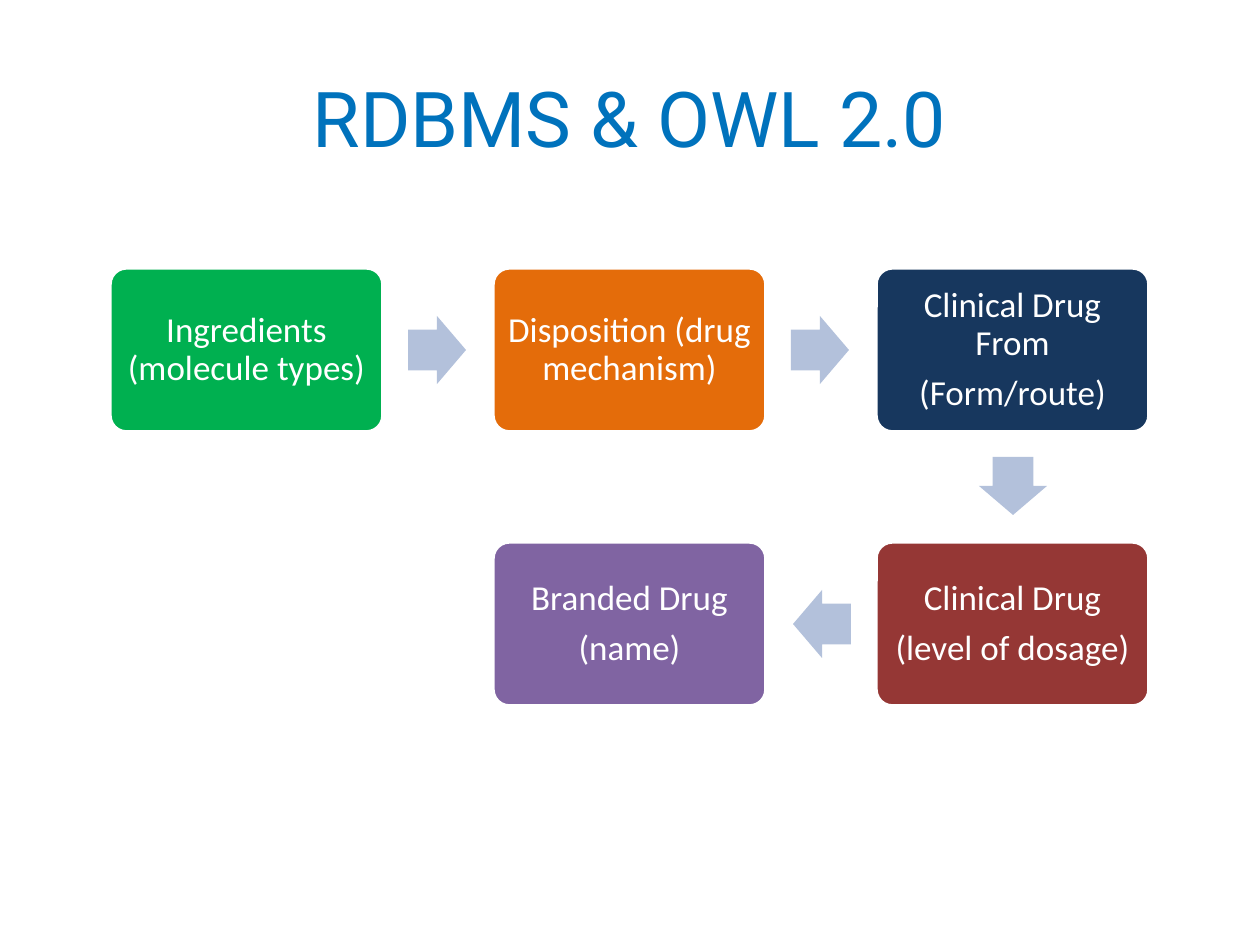
from dataclasses import dataclass
from itertools import pairwise
from math import atan2, degrees

from pptx import Presentation
from pptx.dml.color import RGBColor
from pptx.enum.shapes import MSO_SHAPE
from pptx.enum.text import MSO_ANCHOR, PP_ALIGN
from pptx.util import Pt

EMU_PER_PX = 914400 // 126


@dataclass(frozen=True)
class Theme:
    title_font: str = "Roboto"
    body_font: str = "Calibri"
    title_size: int = 44
    body_size: int = 20
    title: str = "0072BC"
    white: str = "FFFFFF"
    arrow: str = "B3C1DB"
    green: str = "00B050"
    orange: str = "E46C0A"
    navy: str = "17375E"
    red: str = "953735"
    purple: str = "8064A2"


THEME = Theme()
LEFT, TOP = 110, 268
COL_STEP, ROW_STEP = 383, 274
BOX_W, BOX_H = 273, 164
ARROW_W, ARROW_H = 58, 68

STEPS = [
    (0, 0, THEME.green, "Ingredients (molecule types)"),
    (1, 0, THEME.orange, "Disposition (drug mechanism)"),
    (2, 0, THEME.navy, "Clinical Drug From\n(Form/route)"),
    (2, 1, THEME.red, "Clinical Drug\n(level of dosage)"),
    (1, 1, THEME.purple, "Branded Drug\n(name)"),
]


def px(*values):
    return [round(v) * EMU_PER_PX for v in values]


def paint(shape, color):
    shape.shadow.inherit = False
    shape.fill.solid()
    shape.fill.fore_color.rgb = RGBColor.from_string(color)
    shape.line.fill.background()


def write(tf, text, font, size, color):
    tf.text = text
    tf.word_wrap = True
    tf.vertical_anchor = MSO_ANCHOR.MIDDLE
    for p in tf.paragraphs:
        p.alignment = PP_ALIGN.CENTER
        for r in p.runs:
            r.font.name = font
            r.font.size = Pt(size)
            r.font.color.rgb = RGBColor.from_string(color)


def add_title(s, text):
    tf = s.shapes.add_textbox(*px(63, 38, 1134, 158)).text_frame
    write(tf, text, THEME.title_font, THEME.title_size, THEME.title)


def add_step(s, col, row, color, text):
    x, y = LEFT + col * COL_STEP, TOP + row * ROW_STEP
    sp = s.shapes.add_shape(MSO_SHAPE.ROUNDED_RECTANGLE, *px(x, y, BOX_W, BOX_H))
    sp.adjustments[0] = 0.1
    paint(sp, color)
    sp.line.color.rgb = RGBColor.from_string(THEME.white)
    sp.line.width = Pt(2)
    tf = sp.text_frame
    tf.margin_left, tf.margin_right, tf.margin_top, tf.margin_bottom = px(9, 9, 9, 9)
    write(tf, text, THEME.body_font, THEME.body_size, THEME.white)
    for p in tf.paragraphs:
        p.line_spacing = 0.9
        p.space_after = Pt(7)


def add_arrow(s, start, end):
    dx, dy = end[0] - start[0], end[1] - start[1]
    x = LEFT + (start[0] + end[0]) * COL_STEP / 2 + (BOX_W - ARROW_W) / 2 - dx
    y = TOP + (start[1] + end[1]) * ROW_STEP / 2 + (BOX_H - ARROW_H) / 2 - dy
    sp = s.shapes.add_shape(MSO_SHAPE.RIGHT_ARROW, *px(x, y, ARROW_W, ARROW_H))
    sp.adjustments[0] = 0.6
    sp.adjustments[1] = 0.5
    sp.rotation = degrees(atan2(dy, dx))
    paint(sp, THEME.arrow)


def main():
    prs = Presentation()
    prs.slide_width, prs.slide_height = px(1260, 945)
    s = prs.slides.add_slide(prs.slide_layouts[6])
    add_title(s, "RDBMS & OWL 2.0")
    for step in STEPS:
        add_step(s, *step)
    for start, end in pairwise(STEPS):
        add_arrow(s, start, end)
    prs.save("out.pptx")


if __name__ == "__main__":
    main()
